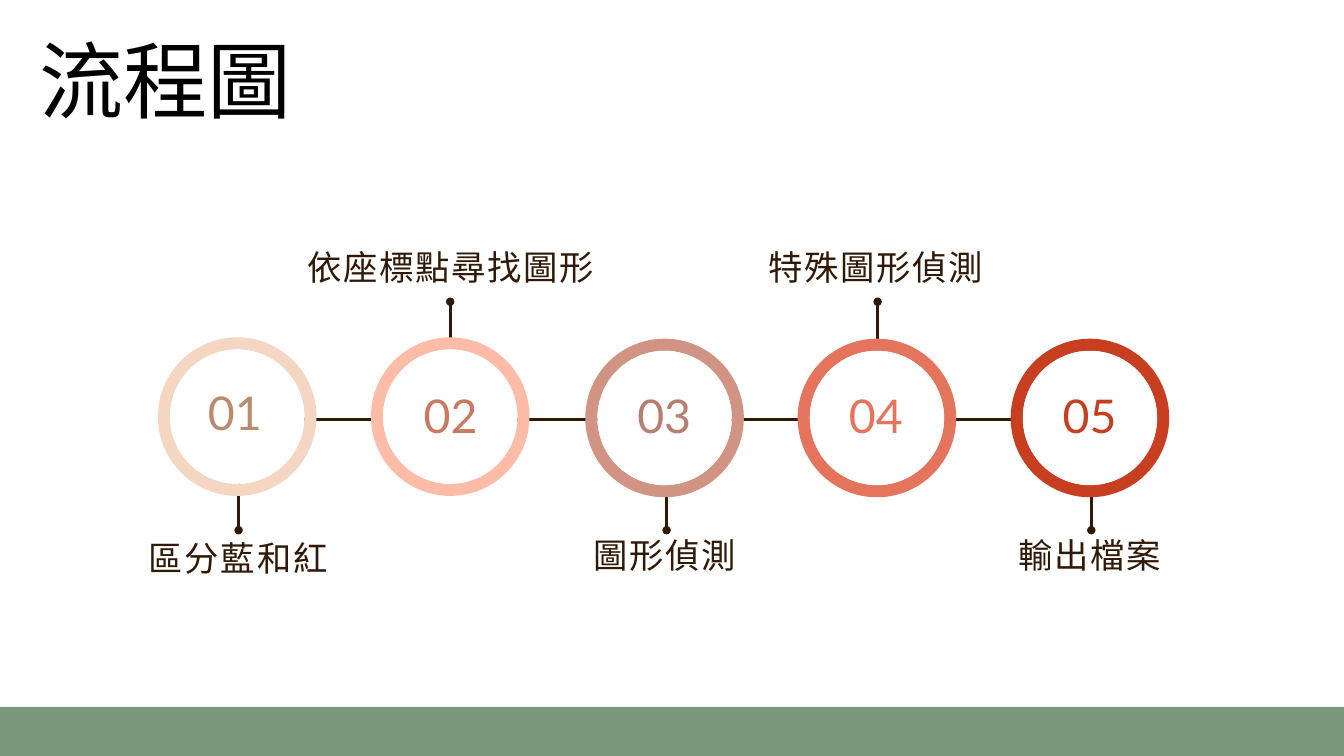
"""Build the flow chart slide: five numbered rings on a line with labelled stems."""
from dataclasses import dataclass

from pptx import Presentation
from pptx.dml.color import RGBColor
from pptx.enum.shapes import MSO_CONNECTOR as Connector, MSO_SHAPE as Preset
from pptx.enum.text import MSO_ANCHOR as Anchor, MSO_AUTO_SIZE as AutoSize, PP_ALIGN as Align
from pptx.oxml.ns import qn
from pptx.util import Pt
from lxml.etree import SubElement

PX = 9144
RING, BAND = 236, 18
DISC = RING - 2 * BAND


@dataclass(frozen=True)
class Theme:
    ink: str = "301906"
    black: str = "000000"
    paper: str = "FFFFFF"
    footer: str = "7C987C"
    title_font: str = "Noto Sans"
    body_font: str = "Lato"
    title_size: float = 90
    label_size: float = 36.8
    number_size: float = 49.8
    title_leading: float = 108
    label_leading: float = 37.9
    number_leading: float = 57.3
    label_tracking: float = 1.8
    line_width: float = 3


@dataclass(frozen=True)
class Box:
    left: int
    top: int
    width: int
    height: int

    def emu(self) -> list[int]:
        return [n * PX for n in (self.left, self.top, self.width, self.height)]


@dataclass(frozen=True)
class TextStyle:
    font: str
    size: float
    leading: float
    color: str
    align: Align = Align.CENTER
    tracking: float = 0


@dataclass(frozen=True)
class Step:
    label: str
    label_box: Box
    ring_left: int
    ring_top: int
    ring_color: str
    number_left: int
    number_top: int
    number_color: str
    stem_x: int
    upward: bool


THEME = Theme()
LABEL = TextStyle(THEME.body_font, THEME.label_size, THEME.label_leading, THEME.ink,
                  tracking=THEME.label_tracking)
TITLE = TextStyle(THEME.title_font, THEME.title_size, THEME.title_leading, THEME.black, Align.LEFT)
STEPS = [
    Step("區分藍和紅", Box(185, 808, 339, 62), 235, 502, "F5D6C3", 279, 575, "B88B70", 355, False),
    Step("依座標點尋找圖形", Box(447, 375, 447, 62), 552, 502, "FDBCA7", 600, 579, "C87A60", 670, True),
    Step("圖形偵測", Box(808, 804, 362, 62), 871, 504, "D19384", 918, 579, "B67F71", 992, False),
    Step("特殊圖形偵測", Box(1087, 375, 432, 62), 1187, 504, "E4745C", 1233, 579, "E4745C", 1306, True),
    Step("輸出檔案", Box(1428, 804, 387, 62), 1504, 504, "C83E21", 1551, 579, "C83E21", 1624, False),
]


def write(shape, text: str, style: TextStyle) -> None:
    """Put one styled line of text into a shape without insets."""
    frame = shape.text_frame
    frame.text = text
    frame.word_wrap = True
    frame.auto_size = AutoSize.NONE
    frame.vertical_anchor = Anchor.TOP
    frame.margin_left = frame.margin_top = frame.margin_right = frame.margin_bottom = 0
    paragraph = frame.paragraphs[0]
    paragraph.alignment = style.align
    paragraph.line_spacing = Pt(style.leading)
    run = paragraph.runs[0]
    run.font.name = style.font
    run.font.size = Pt(style.size)
    run.font.color.rgb = RGBColor.from_string(style.color)
    if style.tracking:
        run.font._element.set("spc", str(round(style.tracking * 100)))


def add_text(slide, box: Box, text: str, style: TextStyle) -> None:
    """Add a text box with one styled line."""
    write(slide.shapes.add_textbox(*box.emu()), text, style)


def add_filled(slide, preset: Preset, box: Box, color: str):
    """Add a flat preset shape without an outline."""
    shape = slide.shapes.add_shape(preset, *box.emu())
    shape.shadow.inherit = False
    shape.fill.solid()
    shape.fill.fore_color.rgb = RGBColor.from_string(color)
    shape.line.fill.background()
    return shape


def add_line(slide, x1: int, y1: int, x2: int, y2: int, dot: bool = False) -> None:
    """Add a straight line, with a dot at its far end if asked."""
    line = slide.shapes.add_connector(Connector.STRAIGHT, x1 * PX, y1 * PX, x2 * PX, y2 * PX)
    line.line.color.rgb = RGBColor.from_string(THEME.ink)
    line.line.width = Pt(THEME.line_width)
    if dot:
        SubElement(line.line._get_or_add_ln(), qn("a:tailEnd"), type="oval")
    SubElement(line._element.spPr, qn("a:effectLst"))


def add_ring(slide, step: Step) -> None:
    """Add a coloured ring around a white disc."""
    left, top = step.ring_left, step.ring_top
    ring = add_filled(slide, Preset.DONUT, Box(left, top, RING, RING), step.ring_color)
    ring.adjustments[0] = BAND / RING
    add_filled(slide, Preset.OVAL, Box(left + BAND, top + BAND, DISC, DISC), THEME.paper)


def main() -> None:
    """Build and save the slide."""
    presentation = Presentation()
    presentation.slide_width, presentation.slide_height = 2000 * PX, 1125 * PX
    slide = presentation.slides.add_slide(presentation.slide_layouts[5])

    title = slide.shapes.title
    title.left, title.top, title.width, title.height = Box(59, 43, 894, 151).emu()
    write(title, "流程圖", TITLE)

    for step in STEPS:
        start, end = (519, 449) if step.upward else (719, 789)
        add_line(slide, step.stem_x, start, step.stem_x, end, dot=True)
    add_line(slide, 427, 624, 1523, 624)

    for step in STEPS:
        add_ring(slide, step)
    for number, step in enumerate(STEPS, start=1):
        style = TextStyle(THEME.body_font, THEME.number_size, THEME.number_leading, step.number_color)
        add_text(slide, Box(step.number_left, step.number_top, 141, 90), f"{number:02}", style)
        add_text(slide, step.label_box, step.label, LABEL)

    add_filled(slide, Preset.RECTANGLE, Box(-179, 1052, 2460, 73), THEME.footer)
    presentation.save("out.pptx")


if __name__ == "__main__":
    main()
